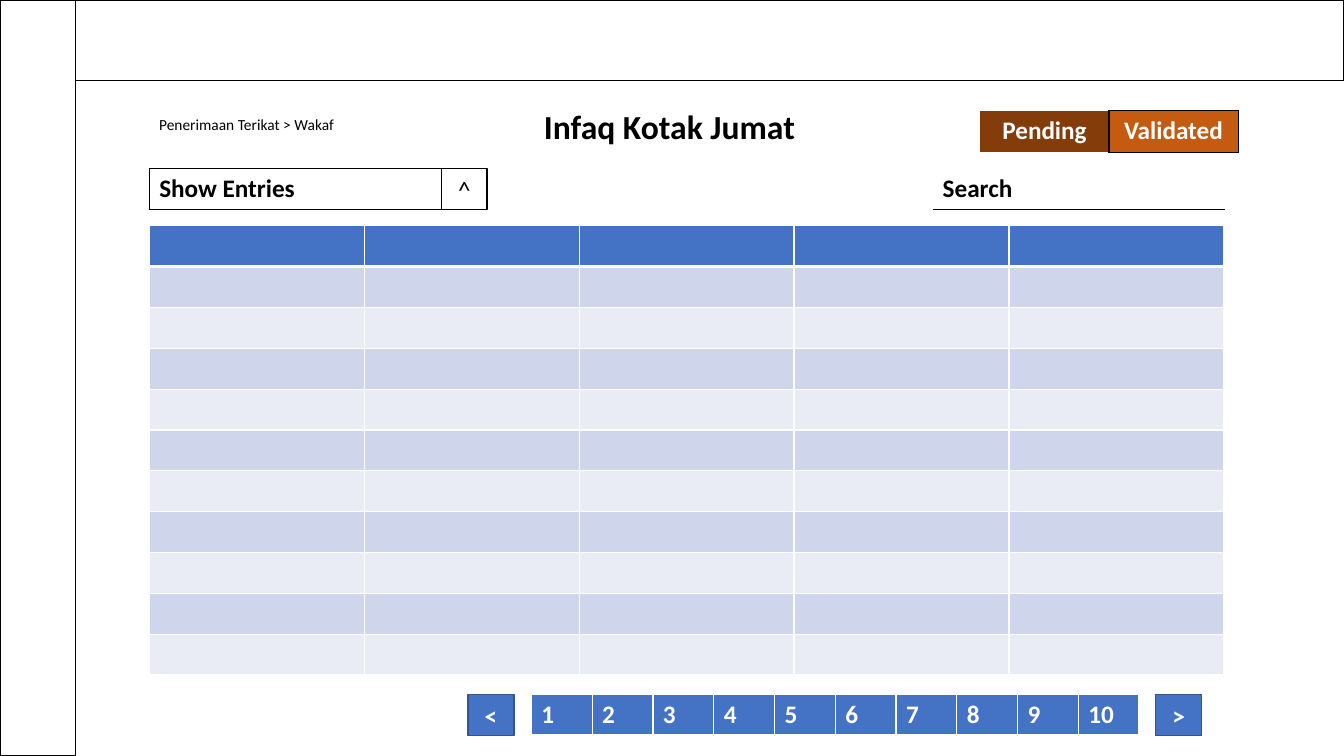
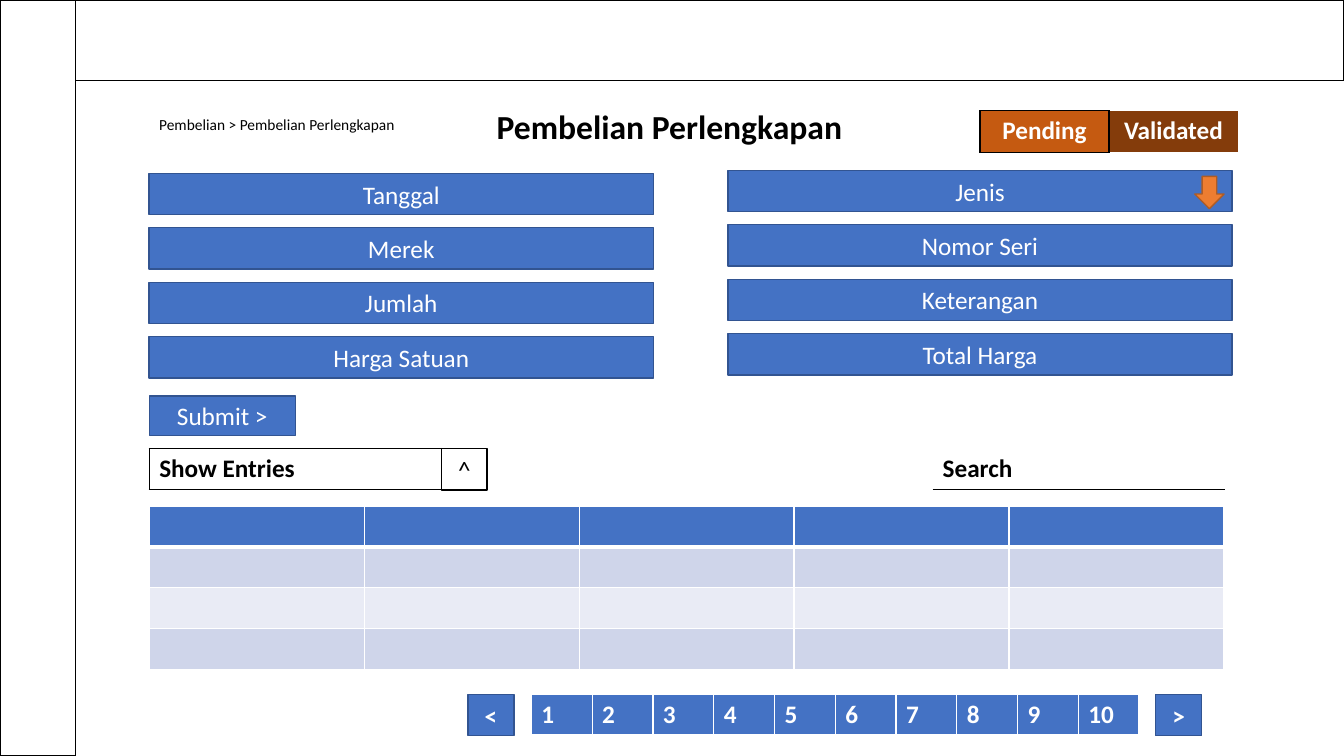
from dataclasses import dataclass
from typing import Optional

from lxml import etree
from pptx import Presentation
from pptx.dml.color import RGBColor
from pptx.enum.shapes import MSO_SHAPE
from pptx.enum.text import MSO_ANCHOR, MSO_AUTO_SIZE, PP_ALIGN
from pptx.oxml.ns import qn
from pptx.util import Inches, Pt

FONT = "Calibri"
BLACK, WHITE = "000000", "FFFFFF"
BLUE, BLUE_EDGE = "4472C4", "325491"
BAND_DARK, BAND_LIGHT = "CFD5EA", "E9EBF5"
TAB_ACTIVE, TAB_IDLE = "C55A11", "843C0B"
ARROW, ARROW_EDGE = "ED7D31", "AF5C24"
NO_STYLE = "{2D5ABB26-0587-4C30-8999-92F81FD0307C}"

LEFT = 1.48
ROW = 0.41
FIELD_WIDTH, FIELD_STEP = 5, 0.54
ENTRY_WIDTH = 2.9
GRID_WIDTH, GRID_COLUMNS = 10.66, 5
BUTTON_WIDTH = 0.46


@dataclass(frozen=True)
class Box:
    left: float
    top: float
    width: float
    height: float = ROW

    def lengths(self) -> tuple:
        return tuple(Inches(v) for v in (self.left, self.top, self.width, self.height))


@dataclass(frozen=True)
class Cell:
    text: str = ""
    fill: Optional[str] = None
    color: str = WHITE
    # Side letter (L, R, T, B) -> (colour, points)
    borders: tuple = ()
    align: PP_ALIGN = PP_ALIGN.LEFT


@dataclass(frozen=True)
class FieldColumn:
    left: float
    top: float
    labels: tuple


@dataclass(frozen=True)
class Page:
    title: str
    breadcrumb: str
    active_tab: str
    entries_top: float
    grid_top: float
    grid_height: float
    grid_rows: int


def rgb(color: str) -> RGBColor:
    return RGBColor.from_string(color)


def edges(color: str, sides: str = "LRTB", points: float = 1) -> tuple:
    return tuple((side, color, points) for side in sides)


def write(paragraph, text: str, size: float, color: str, bold: bool = False,
          align: PP_ALIGN = PP_ALIGN.LEFT) -> None:
    paragraph.text = text
    paragraph.alignment = align
    font = paragraph.font
    font.name, font.size, font.bold = FONT, Pt(size), bold
    font.color.rgb = rgb(color)


def add_box(slide, box: Box, fill: Optional[str], line: str, text: str = "",
            color: str = WHITE, bold: bool = False, preset=MSO_SHAPE.RECTANGLE) -> None:
    shape = slide.shapes.add_shape(preset, *box.lengths())
    shape.shadow.inherit = False
    if fill:
        shape.fill.solid()
        shape.fill.fore_color.rgb = rgb(fill)
    else:
        shape.fill.background()
    shape.line.color.rgb = rgb(line)
    shape.line.width = Pt(1)
    if text:
        shape.text_frame.vertical_anchor = MSO_ANCHOR.MIDDLE
        write(shape.text_frame.paragraphs[0], text, 18, color, bold, PP_ALIGN.CENTER)


def add_cells(slide, box: Box, rows: list[list[Cell]]) -> None:
    table = slide.shapes.add_table(len(rows), len(rows[0]), *box.lengths()).table
    table.first_row = table.horz_banding = False
    table._tbl.tblPr.find(qn("a:tableStyleId")).text = NO_STYLE
    for r, row in enumerate(rows):
        for c, content in enumerate(row):
            cell = table.cell(r, c)
            # Borders come before the fill in the cell properties
            properties = cell._tc.get_or_add_tcPr()
            for side, color, points in content.borders:
                line = etree.SubElement(properties, qn(f"a:ln{side}"), w=str(Pt(points)))
                solid = etree.SubElement(line, qn("a:solidFill"))
                etree.SubElement(solid, qn("a:srgbClr"), val=color)
            if content.fill:
                cell.fill.solid()
                cell.fill.fore_color.rgb = rgb(content.fill)
            else:
                cell.fill.background()
            write(cell.text_frame.paragraphs[0], content.text, 18, content.color,
                  True, content.align)


def add_frame(slide, page: Page) -> None:
    # Top and side bands
    add_box(slide, Box(0, 0, 13.33, 0.8), WHITE, BLACK)
    add_box(slide, Box(0, 0, 0.75, 7.5), WHITE, BLACK)

    # Title and breadcrumb
    title = slide.shapes.title
    title.left, title.top, title.width, title.height = Box(3.98, 1, 5.32, 0.5).lengths()
    title.text_frame.auto_size = MSO_AUTO_SIZE.NONE
    title.text_frame.vertical_anchor = MSO_ANCHOR.TOP
    write(title.text_frame.paragraphs[0], page.title, 24, BLACK, True, PP_ALIGN.CENTER)
    breadcrumb = slide.shapes.add_textbox(*Box(LEFT, 1.09, ENTRY_WIDTH, 0.29).lengths())
    breadcrumb.text_frame.word_wrap = True
    write(breadcrumb.text_frame.paragraphs[0], page.breadcrumb, 11, BLACK)

    # Status tabs
    tabs = []
    for label in ("Pending", "Validated"):
        active = label == page.active_tab
        tabs.append(Cell(label, TAB_ACTIVE if active else TAB_IDLE,
                         borders=edges(BLACK) if active else (), align=PP_ALIGN.CENTER))
    add_cells(slide, Box(9.72, 1.1, 2.56), [tabs])


def add_listing(slide, page: Page) -> None:
    # Entry selector and search field
    add_cells(slide, Box(LEFT, page.entries_top, ENTRY_WIDTH),
              [[Cell("Show Entries", color=BLACK, borders=edges(BLACK))]])
    add_box(slide, Box(LEFT + ENTRY_WIDTH, page.entries_top, 0.45), None, BLACK, "^", BLACK)
    add_cells(slide, Box(9.25, page.entries_top, ENTRY_WIDTH),
              [[Cell("Search", color=BLACK, borders=edges(BLACK, "B"))]])

    # Data grid
    header = Cell(fill=BLUE, borders=edges(WHITE, "LRT") + edges(WHITE, "B", 3))
    rows = [[header] * GRID_COLUMNS]
    for number in range(1, page.grid_rows):
        band = Cell(fill=BAND_DARK if number % 2 else BAND_LIGHT, borders=edges(WHITE, "LRB"))
        rows.append([band] * GRID_COLUMNS)
    add_cells(slide, Box(LEFT, page.grid_top, GRID_WIDTH, page.grid_height), rows)

    # Pager
    pager_top = 6.89
    add_cells(slide, Box(5.27, pager_top, 6.03),
              [[Cell(str(n), BLUE, borders=header.borders) for n in range(1, 11)]])
    for left, sign in ((4.64, "<"), (11.46, ">")):
        add_box(slide, Box(left, pager_top, BUTTON_WIDTH), BLUE, BLUE_EDGE, sign, bold=True)


def add_form(slide, columns: tuple) -> None:
    for column in columns:
        for i, label in enumerate(column.labels):
            add_box(slide, Box(column.left, column.top + i * FIELD_STEP, FIELD_WIDTH),
                    BLUE, BLUE_EDGE, label)
    # Drop-down arrow and submit button
    add_box(slide, Box(11.85, 1.75, 0.29, 0.32), ARROW, ARROW_EDGE,
            preset=MSO_SHAPE.DOWN_ARROW)
    add_box(slide, Box(LEFT, 3.93, 1.45, 0.39), BLUE, BLUE_EDGE, "Submit >")


def add_page(presentation, page: Page):
    slide = presentation.slides.add_slide(presentation.slide_layouts[5])
    add_frame(slide, page)
    add_listing(slide, page)
    return slide


INFAQ = Page("Infaq Kotak Jumat", "Penerimaan Terikat > Wakaf", "Validated",
             1.67, 2.24, 4.46, 11)
PURCHASE = Page("Pembelian Perlengkapan", "Pembelian > Pembelian Perlengkapan", "Pending",
                4.45, 5.02, 1.62, 4)
PURCHASE_FIELDS = (
    FieldColumn(LEFT, 1.72, ("Tanggal", "Merek", "Jumlah", "Harga Satuan")),
    FieldColumn(7.22, 1.69, ("Jenis", "Nomor Seri", "Keterangan", "Total Harga")),
)


def main() -> None:
    presentation = Presentation()
    presentation.slide_width, presentation.slide_height = Inches(13.33), Inches(7.5)
    add_page(presentation, INFAQ)
    add_form(add_page(presentation, PURCHASE), PURCHASE_FIELDS)
    presentation.save("out.pptx")


if __name__ == "__main__":
    main()
